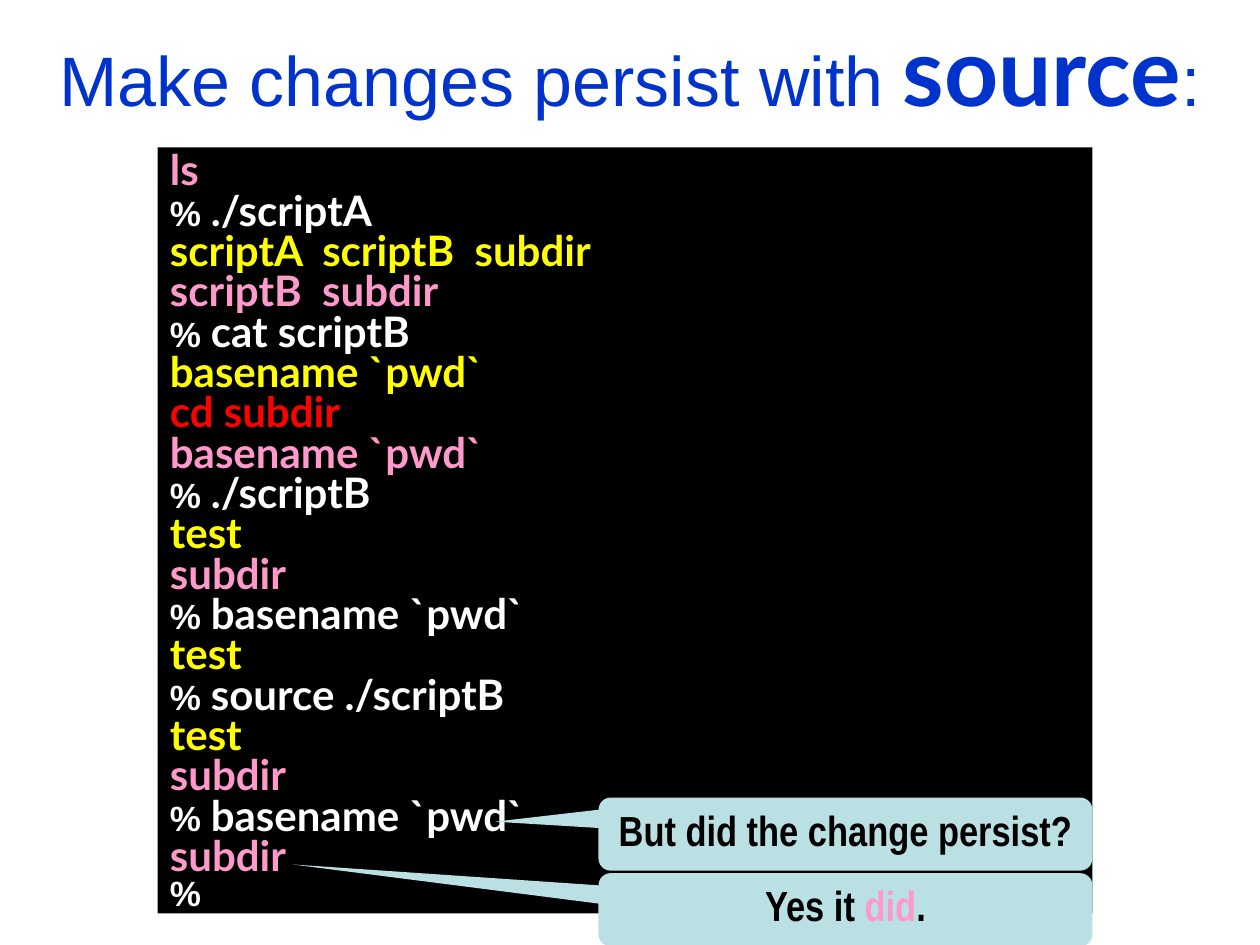
"""Build a slide showing how sourcing a script makes its changes persist."""
import pptx
import pptx.dml.color
import pptx.enum.shapes
import pptx.enum.text
import pptx.util

ALIGN = pptx.enum.text.PP_ALIGN
ANCHOR = pptx.enum.text.MSO_ANCHOR
SHAPE = pptx.enum.shapes.MSO_SHAPE
EMU_PER_PX = 9144

THEME = {
    "colors": {
        "title": "0033CC", "screen": "000000", "callout": "BBE0E3", "dark": "000000",
        "input": "FFFFFF", "parent": "FFFF00", "child": "FF99CC", "change": "FF0000",
    },
    "styles": {
        "title": ("Arial", 40, False),
        "keyword": ("Lato", 54, True),
        "prompt": ("Arial", 20, True),
        "code": ("Lato", 24, True),
        "callout": ("Arial Narrow", 24, True),
    },
    "spacing": 0.8,
}

TITLE = [
    ("Make changes persist with ", "title", "title"),
    ("source", "keyword", "title"),
    (":", "title", "title"),
]
SESSION = [
    ("child", "ls"),
    ("input", "./scriptA"),
    ("parent", "scriptA  scriptB  subdir"),
    ("child", "scriptB  subdir"),
    ("input", "cat scriptB"),
    ("parent", "basename `pwd`"),
    ("change", "cd subdir"),
    ("child", "basename `pwd`"),
    ("input", "./scriptB"),
    ("parent", "test"),
    ("child", "subdir"),
    ("input", "basename `pwd`"),
    ("parent", "test"),
    ("input", "source ./scriptB"),
    ("parent", "test"),
    ("child", "subdir"),
    ("input", "basename `pwd`"),
    ("child", "subdir"),
    ("input", ""),
]
CALLOUTS = [
    ((-0.71, -0.17), [("But did the change persist?", "dark")]),
    ((-1.12, -0.62), [("Yes it ", "dark"), ("did", "child"), (".", "dark")]),
]

SLIDE = (1000, 750)
TITLE_BOX = (0, 17, 1000, 75)
SCREEN_BOX = (125, 117, 742, 608)
CALLOUT_BOX = (475, 633, 392, 58)
CALLOUT_STEP = 60
HANGING = 38


def px(n):
    return pptx.util.Emu(n * EMU_PER_PX)


def rgb(name):
    return pptx.dml.color.RGBColor.from_string(THEME["colors"][name])


def add_run(p, text, style, color):
    r = p.add_run()
    r.text = text
    r.font.name, size, r.font.bold = THEME["styles"][style]
    r.font.size = pptx.util.Pt(size)
    r.font.color.rgb = rgb(color)


def add_block(s, kind, box, fill):
    sp = s.shapes.add_shape(kind, *map(px, box))
    sp.shadow.inherit = False
    sp.fill.solid()
    sp.fill.fore_color.rgb = rgb(fill)
    sp.line.fill.background()
    return sp


def add_title(s):
    sp = s.shapes.title
    sp.left, sp.top, sp.width, sp.height = map(px, TITLE_BOX)
    tf = sp.text_frame
    tf.auto_size = pptx.enum.text.MSO_AUTO_SIZE.NONE
    tf.vertical_anchor = ANCHOR.MIDDLE
    p = tf.paragraphs[0]
    p.alignment = ALIGN.CENTER
    for run in TITLE:
        add_run(p, *run)


def add_screen(s):
    tf = add_block(s, SHAPE.RECTANGLE, SCREEN_BOX, "screen").text_frame
    tf.word_wrap = True
    tf.vertical_anchor = ANCHOR.TOP
    tf.margin_bottom = 0
    for i, (role, text) in enumerate(SESSION):
        p = tf.add_paragraph() if i else tf.paragraphs[0]
        p.alignment = ALIGN.LEFT
        p.line_spacing = THEME["spacing"]
        pPr = p._p.get_or_add_pPr()
        pPr.set("marL", str(px(HANGING)))
        pPr.set("indent", str(px(-HANGING)))
        if role == "input":
            add_run(p, "% " if text else "%", "prompt", role)
        if text:
            add_run(p, text, "code", role)


def add_callouts(s):
    left, top, width, height = CALLOUT_BOX
    for i, (tip, runs) in enumerate(CALLOUTS):
        box = (left, top + i * CALLOUT_STEP, width, height)
        sp = add_block(s, SHAPE.ROUNDED_RECTANGULAR_CALLOUT, box, "callout")
        sp.adjustments[0], sp.adjustments[1] = tip
        tf = sp.text_frame
        tf.word_wrap = False
        tf.vertical_anchor = ANCHOR.MIDDLE
        p = tf.paragraphs[0]
        p.alignment = ALIGN.CENTER
        p.line_spacing = THEME["spacing"]
        for text, color in runs:
            add_run(p, text, "callout", color)


def main():
    prs = pptx.Presentation()
    prs.slide_width, prs.slide_height = map(px, SLIDE)
    s = prs.slides.add_slide(prs.slide_layouts[5])
    add_title(s)
    add_screen(s)
    add_callouts(s)
    prs.save("out.pptx")


if __name__ == "__main__":
    main()
